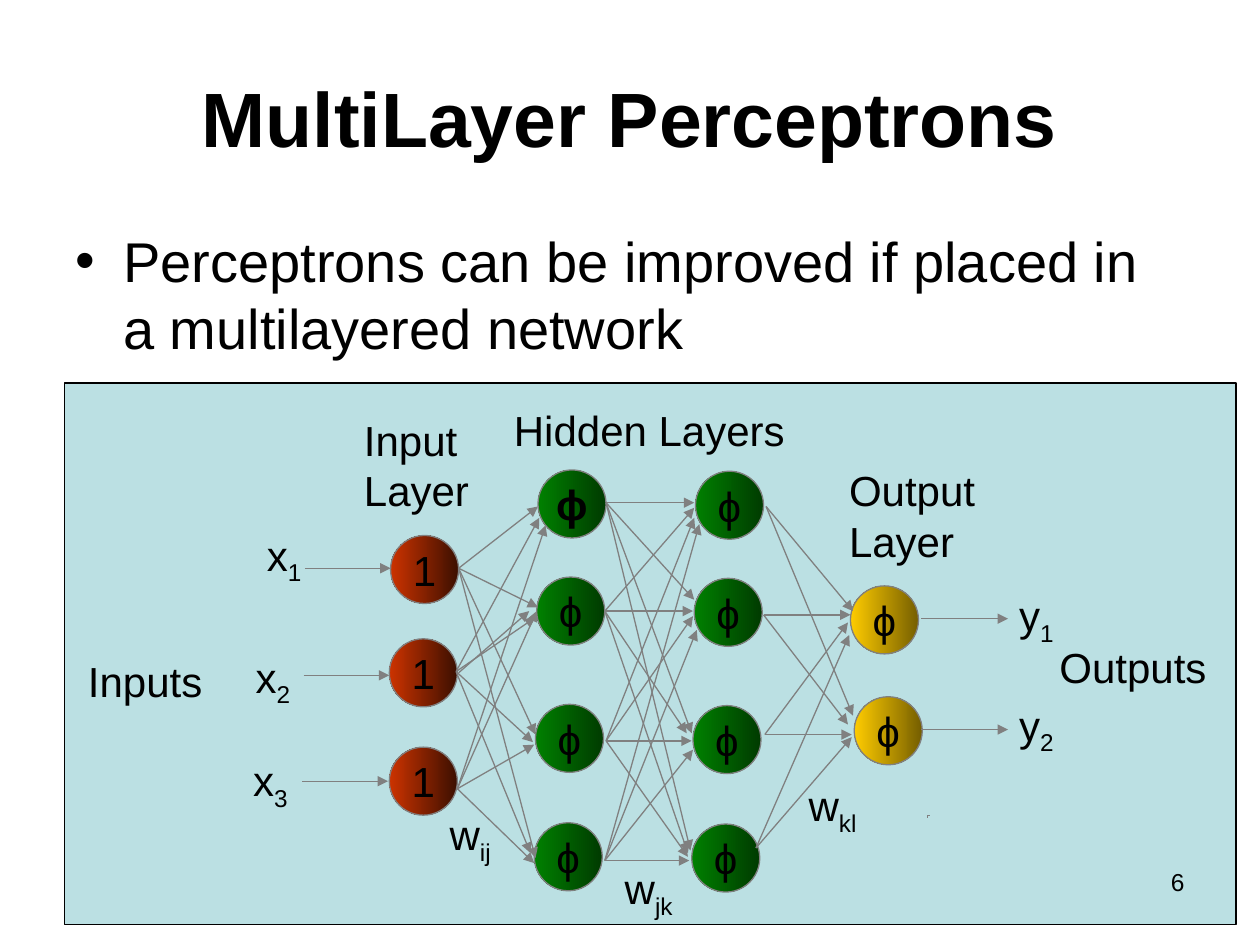
from dataclasses import dataclass
from typing import NamedTuple

from lxml.etree import SubElement
from pptx import Presentation
from pptx.dml.color import RGBColor as Rgb
from pptx.enum.shapes import MSO_CONNECTOR as Connector, MSO_SHAPE as Shape
from pptx.enum.text import MSO_ANCHOR as Anchor, MSO_AUTO_SIZE as AutoSize, PP_ALIGN as Align
from pptx.oxml.ns import qn
from pptx.util import Inches, Pt


@dataclass(frozen=True)
class Theme:
    font: str = "Arial"
    ink: str = "000000"
    wire: str = "808080"
    panel: str = "BBE0E3"
    red: tuple = ("3C0F00", "CC3300")
    green: tuple = ("003B00", "008000")
    gold: tuple = ("755E00", "FFCC00")
    title: int = 44
    body: int = 32
    label: int = 24
    number: int = 14
    line: float = 0.75
    hairline: float = 0.25


class Point(NamedTuple):
    col: float
    row: float


class Area(NamedTuple):
    col: float
    row: float
    cols: float
    rows: float


class Label(NamedTuple):
    area: Area
    text: str
    sub: str = ""


class Layer(NamedTuple):
    shades: tuple
    symbol: str
    corners: list


class Fan(NamedTuple):
    """Arrows that leave one point for several ends."""
    start: Point
    ends: list


THEME = Theme()
COLS, ROWS = 100, 75
NODE = 5.4
HIDDEN = [Point(42.7, 37.3), Point(42.6, 45.8), Point(42.5, 55.9), Point(42.4, 65.3)]
HIDDEN_STEP = Point(12.5, 0.1)

LAYERS = [
    Layer(THEME.red, "1", [Point(31, 42.5), Point(30.9, 50.7), Point(30.9, 59.3)]),
    Layer(THEME.green, "ϕ", HIDDEN),
    Layer(THEME.green, "ϕ", [Point(c + HIDDEN_STEP.col, r + HIDDEN_STEP.row) for c, r in HIDDEN]),
    Layer(THEME.gold, "ϕ", [Point(67.5, 46.5), Point(67.8, 55.3)]),
]

FANS = [
    # signals in and out
    Fan(Point(24.2, 45.1), [(31, 45.1)]),
    Fan(Point(24.1, 53.6), [(30.9, 53.6)]),
    Fan(Point(24, 62), [(30.8, 62)]),
    Fan(Point(73.1, 49.1), [(80, 49.1)]),
    Fan(Point(73.1, 57.9), [(80, 57.9)]),
    # input layer to first hidden layer
    Fan(Point(36.4, 45.1), [(42.7, 40.2), (42.7, 48.2), (42.5, 58.3), (42.5, 68.1)]),
    Fan(Point(36.2, 53.3), [(42.8, 41.1), (42.5, 49), (42.3, 58.9), (42.1, 67.7)]),
    Fan(Point(36.4, 53.4), [(42, 48.5)]),
    Fan(Point(36.3, 62.6), [(43.3, 41.7), (42.6, 48.5), (42.4, 59.1), (42.4, 68.5)]),
    # first to second hidden layer
    Fan(Point(48.1, 39.9), [(55.1, 39.9), (55.1, 47.6), (54.9, 58.2), (54.8, 67.5)]),
    Fan(Point(48, 48.5), [(55.1, 40.3), (55, 48.5), (54.5, 58.2), (54.6, 67.7)]),
    Fan(Point(48.1, 58.8), [(55.1, 41.1), (55, 48.9), (54.9, 58.8), (54.6, 68)]),
    Fan(Point(48, 68.3), [(55.5, 41.6), (55.3, 50), (55, 59.5), (54.7, 68.3)]),
    # second hidden layer to output layer
    Fan(Point(60.8, 40.2), [(67.7, 48.5), (67.7, 56.8)]),
    Fan(Point(60.6, 48.8), [(67.5, 48.8), (67.3, 57.5)]),
    Fan(Point(60.7, 58.3), [(67.6, 58.3), (67.3, 49.4)]),
    Fan(Point(60, 67.3), [(67.6, 58.5), (67.4, 50.4)]),
]
TICK = Fan(Point(73.6, 64.7), [(73.6, 64.9), (73.8, 64.7)])

LABELS = [
    Label(Area(20.2, 41.5, 5.5, 5.6), "x", "1"),
    Label(Area(19.3, 51.2, 5.5, 5.6), "x", "2"),
    Label(Area(19.1, 59.4, 5.5, 5.6), "x", "3"),
    Label(Area(79.9, 46.3, 5.5, 5.6), "y", "1"),
    Label(Area(79.9, 55, 5.5, 5.6), "y", "2"),
    Label(Area(34.7, 63.7, 8.4, 5.6), "w", "ij"),
    Label(Area(48.6, 68, 8.4, 5.6), "w", "jk"),
    Label(Area(63.2, 61.4, 8.4, 5.6), "w", "kl"),
    Label(Area(27.9, 32.4, 11.5, 9), "Input\nLayer"),
    Label(Area(39.8, 31.6, 24.5, 5), "Hidden Layers"),
    Label(Area(66.4, 36.4, 13, 9), "Output\nLayer"),
    Label(Area(6, 51.5, 12, 5), "Inputs"),
    Label(Area(83.1, 50.4, 14.5, 5), "Outputs"),
]

deck = Presentation()
deck.slide_width, deck.slide_height = Inches(10), Inches(7.5)
page = deck.slides.add_slide(deck.slide_layouts[6])


def emu(*cells: float) -> list[int]:
    """Grid lengths, columns and rows in turn, as slide units."""
    units = (deck.slide_width / COLS, deck.slide_height / ROWS)
    return [round(cell * units[i % 2]) for i, cell in enumerate(cells)]


def apply(target, **values) -> None:
    for name, value in values.items():
        setattr(target, name, value)


def add_span(para, text: str, size: int, bold: bool = False):
    span = para.add_run()
    span.text = text
    apply(span.font, name=THEME.font, size=Pt(size), bold=bold)
    span.font.color.rgb = Rgb.from_string(THEME.ink)
    return span


def add_text(area: Area, text: str, size: int, align=Align.LEFT, bold=False, **frame):
    """Add a text box and return its last paragraph."""
    box = page.shapes.add_textbox(*emu(*area))
    apply(box.text_frame, word_wrap=True, **frame)
    for i, line in enumerate(text.split("\n")):
        para = box.text_frame.add_paragraph() if i else box.text_frame.paragraphs[0]
        para.alignment = align
        add_span(para, line, size, bold)
    return para


def add_label(label: Label) -> None:
    para = add_text(label.area, label.text, THEME.label, auto_size=AutoSize.SHAPE_TO_FIT_TEXT)
    if label.sub:
        span = add_span(para, label.sub, THEME.label)
        span._r.get_or_add_rPr().set("baseline", "-25000")


def add_outline(kind, area: Area, color: str):
    shape = page.shapes.add_shape(kind, *emu(*area))
    shape.shadow.inherit = False
    shape.line.color.rgb = Rgb.from_string(color)
    shape.line.width = Pt(THEME.line)
    return shape


def add_node(corner: Point, layer: Layer) -> None:
    node = add_outline(Shape.OVAL, Area(*corner, NODE, NODE), THEME.wire)
    node.fill.gradient()
    node.fill.gradient_angle = 180
    for stop, place, shade in zip(node.fill.gradient_stops, (0, 1), layer.shades):
        stop.position = place
        stop.color.rgb = Rgb.from_string(shade)
    apply(node.text_frame, word_wrap=False, vertical_anchor=Anchor.MIDDLE)
    para = node.text_frame.paragraphs[0]
    para.alignment = Align.CENTER
    add_span(para, layer.symbol, THEME.label, bold=corner == HIDDEN[0])


def add_fan(fan: Fan, width: float = THEME.line, arrow: bool = True) -> None:
    for end in fan.ends:
        wire = page.shapes.add_connector(Connector.STRAIGHT, *emu(*fan.start, *end))
        wire.line.color.rgb = Rgb.from_string(THEME.wire)
        wire.line.width = Pt(width)
        if arrow:
            SubElement(wire.line._get_or_add_ln(), qn("a:tailEnd"), type="triangle")
        SubElement(wire._element.spPr, qn("a:effectLst"))


add_text(Area(5, 3, 90, 12.5), "MultiLayer Perceptrons", THEME.title, Align.CENTER, True,
         vertical_anchor=Anchor.MIDDLE)
point = add_text(Area(5, 17.5, 90, 16.5),
                 "Perceptrons can be improved if placed in a multilayered network", THEME.body)
props = point._p.get_or_add_pPr()
for name, length in {"marL": 0.38, "indent": -0.38}.items():
    props.set(name, str(Inches(length)))
SubElement(props, qn("a:buFont"), typeface=THEME.font)
SubElement(props, qn("a:buChar"), char="•")

panel = add_outline(Shape.RECTANGLE, Area(5.1, 30.4, 93, 43), THEME.ink)
panel.fill.solid()
panel.fill.fore_color.rgb = Rgb.from_string(THEME.panel)
for layer in LAYERS:
    for corner in layer.corners:
        add_node(corner, layer)
for fan in FANS:
    add_fan(fan)
add_fan(TICK, THEME.hairline, arrow=False)
for label in LABELS:
    add_label(label)
add_text(Area(71.7, 68.3, 23.3, 5.2), "6", THEME.number, Align.RIGHT)

deck.save("out.pptx")
